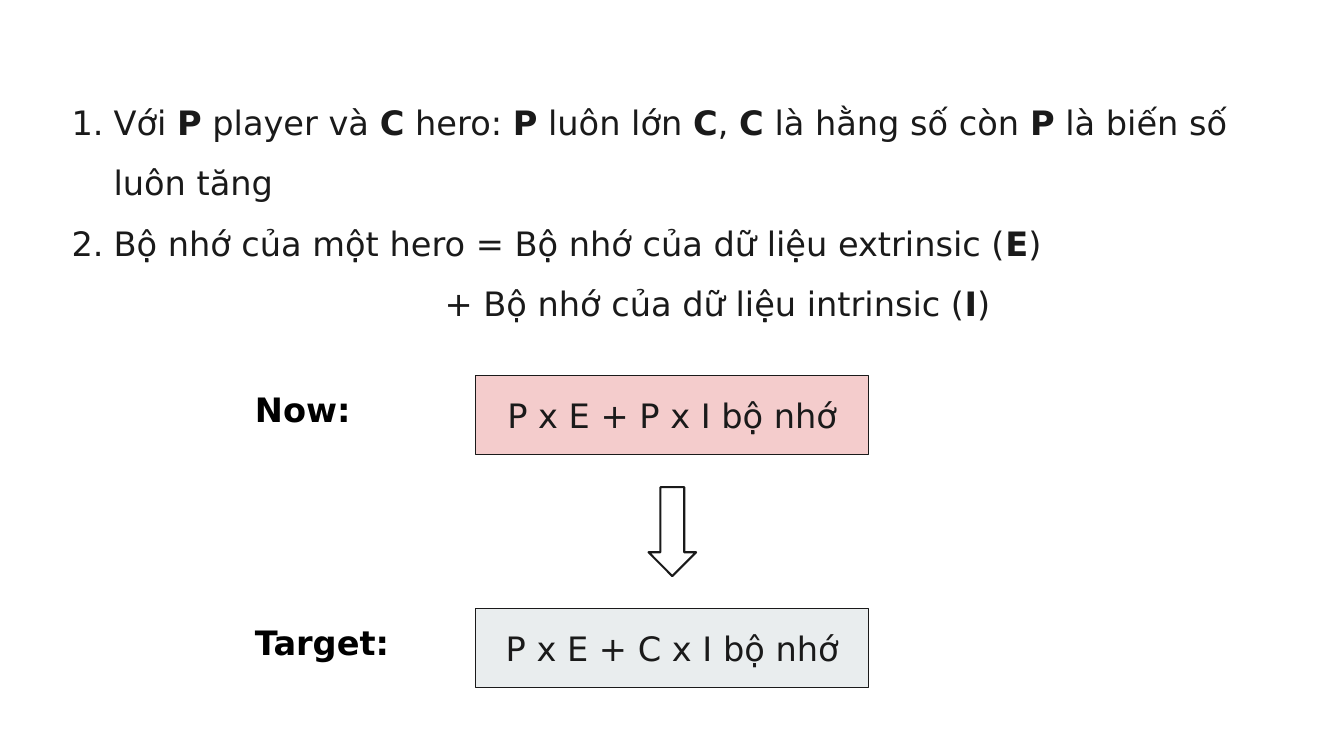
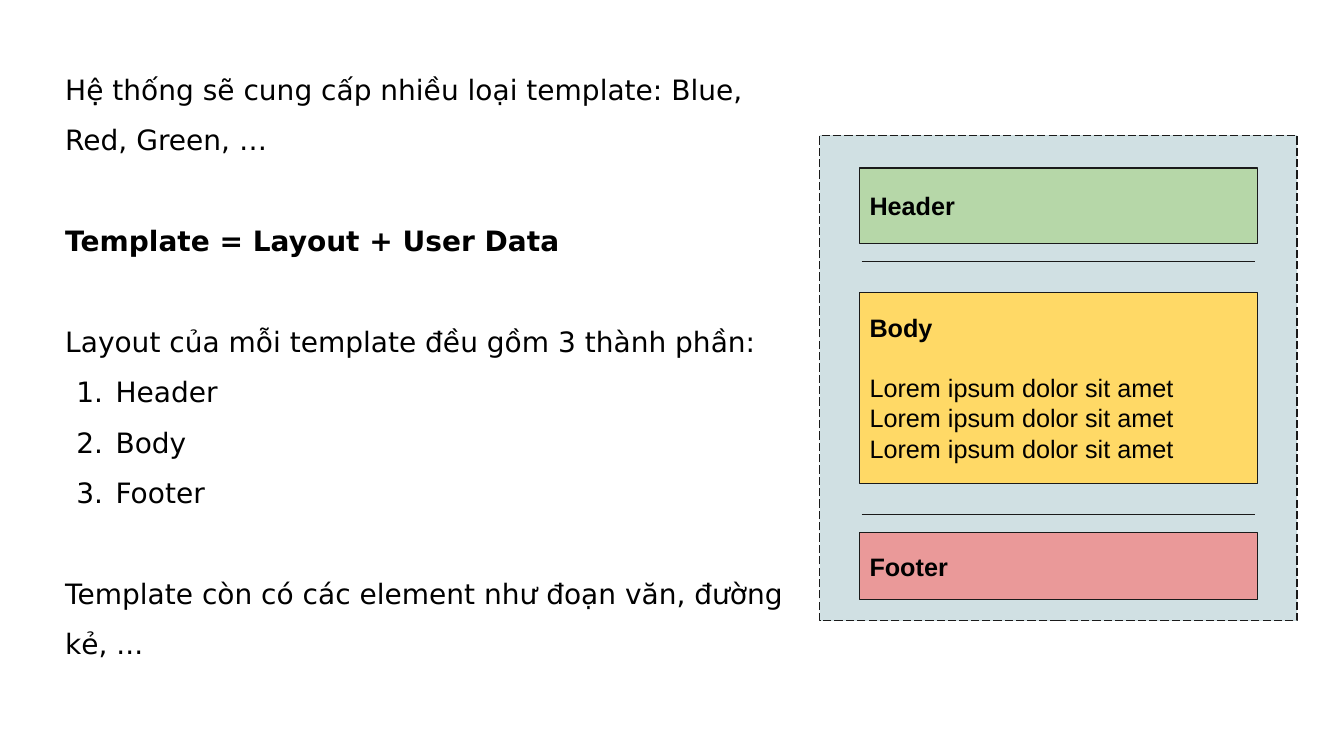
import pptx
import pptx.util
import pptx.dml.color
import pptx.enum.dml
import pptx.enum.shapes
import pptx.enum.text
import lxml.etree

Pt = pptx.util.Pt
SHAPE = pptx.enum.shapes.MSO_SHAPE
ALIGN = pptx.enum.text.PP_ALIGN
ANCHOR = pptx.enum.text.MSO_ANCHOR


class Theme:
    ink, black, white = "1A1A1A", "000000", "FFFFFF"
    pink, gray, frame = "F4CCCC", "E9EDEE", "D0E0E3"
    green, gold, red = "B6D7A8", "FFD966", "EA9999"
    sans, arial = "DejaVu Sans", "Arial"
    large, mid, small = 24, 20, 18
    thin, thick = 0.75, 1.5
    inset = 7.2


# Content: *stars* mark bold; options are num, left, hang, before
NOTES = [
    ("Với *P* player và *C* hero: *P* luôn lớn *C*, *C* là hằng số còn *P* là biến số luôn tăng",
     dict(num=True, left=36, hang=30)),
    ("Bộ nhớ của một hero = Bộ nhớ của dữ liệu extrinsic (*E*)",
     dict(num=True, left=36, hang=30)),
    ("+ Bộ nhớ của dữ liệu intrinsic (*I*)", dict(left=272.5)),
]
COSTS = [
    ("*Now:*", "P x E + P x I bộ nhớ", Theme.pink),
    ("*Target:*", "P x E + C x I bộ nhớ", Theme.gray),
]
ITEM = dict(num=True, left=36, hang=28)
INTRO = [
    ("Hệ thống sẽ cung cấp nhiều loại template: Blue, Red, Green, …", {}),
    ("*Template = Layout + User Data*", dict(before=36)),
    ("Layout của mỗi template đều gồm 3 thành phần:", dict(before=36)),
    ("Header", ITEM),
    ("Body", ITEM),
    ("Footer", ITEM),
    ("Template còn có các element như đoạn văn, đường kẻ, ...", dict(before=36)),
]
LOREM = "Lorem ipsum dolor sit amet"
BLOCKS = [  # text, fill, height, gap to the rule above, gap to the rule below
    ([("*Header*", {})], Theme.green, 54, 0, 12.75),
    ([("*Body*", {}), (LOREM, dict(before=21)), (LOREM, {}), (LOREM, {})],
     Theme.gold, 136.75, 22, 22),
    ([("*Footer*", {})], Theme.red, 48, 12.75, 0),
]


def rgb(code):
    return pptx.dml.color.RGBColor.from_string(code)


def mark(par, color, num=False, left=0, hang=0):
    """Set the indent and the automatic number of a paragraph."""
    props = par._p.get_or_add_pPr()
    props.set("marL", str(Pt(left)))
    props.set("indent", str(-Pt(hang)))
    if num:
        tint = lxml.etree.SubElement(props, pptx.oxml.ns.qn("a:buClr"))
        lxml.etree.SubElement(tint, pptx.oxml.ns.qn("a:srgbClr"), val=color)
        lxml.etree.SubElement(props, pptx.oxml.ns.qn("a:buAutoNum"), type="arabicPeriod")


def write(shape, lines, size, color=Theme.black, face=Theme.sans,
          space=None, align=ALIGN.LEFT, anchor=ANCHOR.TOP):
    frame = shape.text_frame
    frame.word_wrap = True
    frame.vertical_anchor = anchor
    frame.margin_left = frame.margin_right = Pt(Theme.inset)
    frame.margin_top = frame.margin_bottom = Pt(Theme.inset)
    for i, (text, opts) in enumerate(lines):
        par = frame.paragraphs[0] if i == 0 else frame.add_paragraph()
        opts = dict(opts)
        before = opts.pop("before", 0)
        mark(par, color, **opts)
        par.alignment = align
        if space:
            par.line_spacing = space
        if before:
            par.space_before = Pt(before)
        font = par.font
        font.name, font.size = face, Pt(size)
        font.color.rgb = rgb(color)
        for j, part in enumerate(text.split("*")):
            if part:
                run = par.add_run()
                run.text = part
                if j % 2:
                    run.font.bold = True


def label(slide, box, lines, size, **style):
    write(slide.shapes.add_textbox(*map(Pt, box)), lines, size, **style)


def draw(slide, kind, box, fill, width=Theme.thin):
    shape = slide.shapes.add_shape(kind, *map(Pt, box))
    shape.shadow.inherit = False
    shape.fill.solid()
    shape.fill.fore_color.rgb = rgb(fill)
    shape.line.color.rgb = rgb(Theme.ink)
    shape.line.width = Pt(width)
    return shape


def rule(slide, left, right, y):
    line = slide.shapes.add_connector(
        pptx.enum.shapes.MSO_CONNECTOR.STRAIGHT, Pt(left), Pt(y), Pt(right), Pt(y))
    line.line.color.rgb = rgb(Theme.ink)
    line.line.width = Pt(Theme.thin)
    lxml.etree.SubElement(line._element.spPr, pptx.oxml.ns.qn("a:effectLst"))


def memory(slide):
    label(slide, (38, 51, 870.5, 174), NOTES, Theme.large, color=Theme.ink, space=1.5)
    # Cost rows
    left, top, wide, high, step = 340, 268.5, 280.5, 56, 166.5
    for i, (name, cost, fill) in enumerate(COSTS):
        y = top + i * step
        box = draw(slide, SHAPE.RECTANGLE, (left, y, wide, high), fill)
        write(box, [(cost, {})], Theme.large, color=Theme.ink,
              align=ALIGN.CENTER, anchor=ANCHOR.MIDDLE)
        label(slide, (175, y + 2, 151, 51), [(name, {})], Theme.large)
    # Arrow centred between the rows
    aw, ah = 34, 63.5
    draw(slide, SHAPE.DOWN_ARROW,
         (left + (wide - aw) / 2, top + (high + step - ah) / 2, aw, ah),
         Theme.white, Theme.thick)


def layout(slide):
    label(slide, (39.5, 32.5, 533, 483), INTRO, Theme.mid, space=1.5)
    # Page frame
    left, top, wide, high = 585.5, 96.5, 341, 347
    page = draw(slide, SHAPE.RECTANGLE, (left, top, wide, high), Theme.frame)
    page.line.dash_style = pptx.enum.dml.MSO_LINE.LONG_DASH
    # Blocks stacked with a rule between each pair
    pad, nip, y = 28.5, 1.5, 120
    for lines, fill, tall, above, below in BLOCKS:
        y += above
        box = draw(slide, SHAPE.RECTANGLE, (left + pad, y, wide - 2 * pad, tall), fill)
        write(box, lines, Theme.small, face=Theme.arial, anchor=ANCHOR.MIDDLE)
        y += tall + below
        if below:
            rule(slide, left + pad + nip, left + wide - pad - nip, y)


def main():
    deck = pptx.Presentation()
    deck.slide_width, deck.slide_height = Pt(960), Pt(540)
    for build in (memory, layout):
        build(deck.slides.add_slide(deck.slide_layouts[6]))
    deck.save("out.pptx")


if __name__ == "__main__":
    main()
